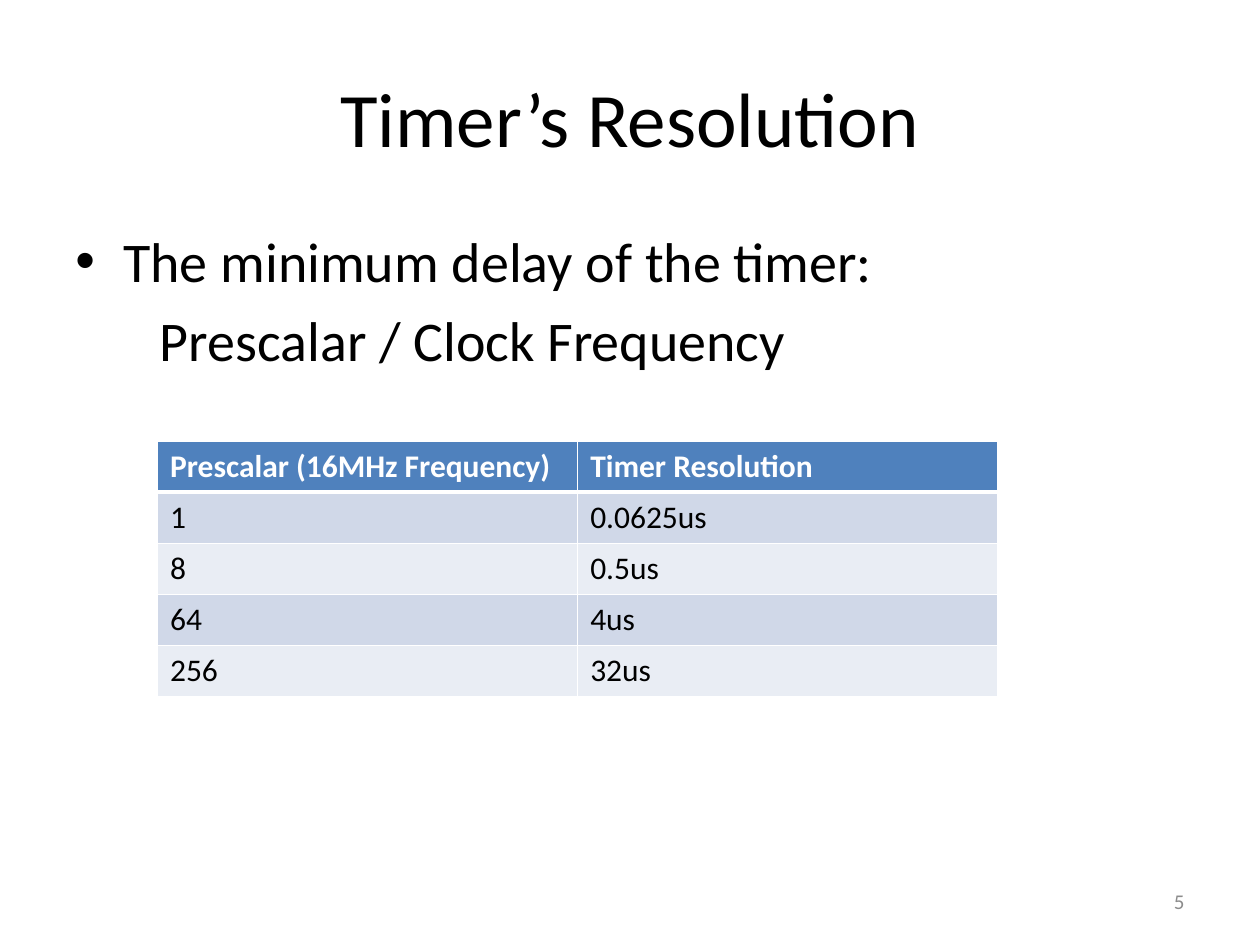
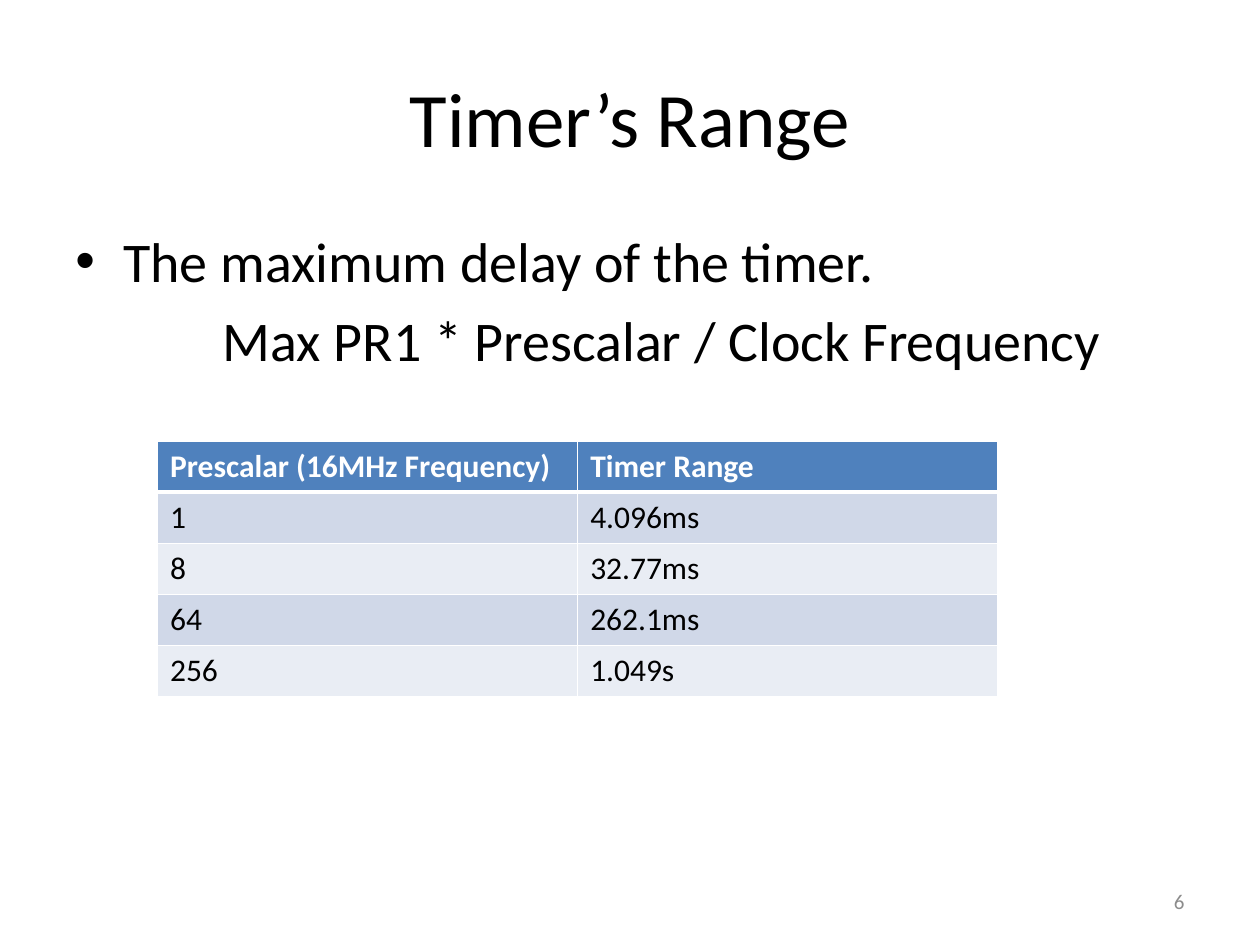
from dataclasses import dataclass

from lxml.etree import SubElement
from pptx import Presentation
from pptx.dml.color import RGBColor
from pptx.enum.text import MSO_ANCHOR, PP_ALIGN
from pptx.oxml.ns import qn
from pptx.util import Inches, Pt


@dataclass(frozen=True)
class Theme:
    """Colours and type sizes shared by the slides."""
    font: str = "Calibri"
    text: str = "000000"
    light: str = "FFFFFF"
    muted: str = "8C8C8C"
    header: str = "4F81BD"
    bands: tuple = ("D0D8E8", "E9EDF4")
    title_size: float = 44
    body_size: float = 32
    table_size: float = 18
    number_size: float = 12


THEME = Theme()
TITLE_ONLY = 5
PRESCALARS = ("1", "8", "64", "256")


def style(paragraph, size, color=THEME.text, bold=False, align=PP_ALIGN.LEFT):
    """Set the font and alignment of a paragraph."""
    paragraph.alignment = align
    font = paragraph.font
    font.name, font.size, font.bold = THEME.font, Pt(size), bold
    font.color.rgb = RGBColor.from_string(color)


def place(shape, left, top, width, height):
    """Move and size a shape, in inches."""
    shape.left, shape.top = Inches(left), Inches(top)
    shape.width, shape.height = Inches(width), Inches(height)


def add_text_box(slide, left, top, width, height):
    """Add a wrapping text box and return its text frame."""
    box = slide.shapes.add_textbox(
        Inches(left), Inches(top), Inches(width), Inches(height))
    box.text_frame.word_wrap = True
    return box.text_frame


def indent(paragraph, left, first_line=0, bullet=None):
    """Set the indents of a paragraph and, if given, its bullet."""
    properties = paragraph._p.get_or_add_pPr()
    properties.set("marL", str(Inches(left)))
    properties.set("indent", str(Inches(first_line)))
    if bullet:
        font = SubElement(properties, qn("a:buFont"))
        font.set("typeface", "Arial")
        SubElement(properties, qn("a:buChar")).set("char", bullet)


def set_title(slide, text):
    """Fill and format the title placeholder."""
    title = slide.shapes.title
    place(title, 0.5, 0.3, 9, 1.25)
    title.text_frame.text = text
    title.text_frame.vertical_anchor = MSO_ANCHOR.MIDDLE
    style(title.text_frame.paragraphs[0], THEME.title_size, align=PP_ALIGN.CENTER)


def add_definition(slide, statement, formula, formula_indent):
    """Add a bulleted statement with its formula indented below."""
    frame = add_text_box(slide, 0.5, 1.75, 9, 4.95)
    frame.text = f"{statement}\n{formula}"
    first, second = frame.paragraphs
    indent(first, 0.38, -0.38, "•")
    indent(second, formula_indent)
    for paragraph in frame.paragraphs:
        paragraph.space_before = Pt(0.2 * THEME.body_size)
        style(paragraph, THEME.body_size)


def set_borders(cell, bottom_width):
    """Draw the light cell borders; the bottom one has its own width."""
    properties = cell._tc.get_or_add_tcPr()
    widths = (("a:lnL", 1), ("a:lnR", 1), ("a:lnT", 1), ("a:lnB", bottom_width))
    for position, (tag, width) in enumerate(widths):
        line = SubElement(properties, qn(tag), w=str(Pt(width)))
        fill = SubElement(line, qn("a:solidFill"))
        SubElement(fill, qn("a:srgbClr"), val=THEME.light)
        properties.insert(position, line)


def add_timer_table(slide, heading, values):
    """Add the table of one timer value for each prescalar."""
    rows = [("Prescalar (16MHz Frequency)", heading), *zip(PRESCALARS, values)]
    table = slide.shapes.add_table(
        len(rows), 2, Inches(1.25), Inches(3.5), Inches(6.67), Inches(2.03)).table
    for row_index, row in enumerate(rows):
        is_header = row_index == 0
        fill = THEME.header if is_header else THEME.bands[(row_index - 1) % 2]
        for column_index, text in enumerate(row):
            cell = table.cell(row_index, column_index)
            cell.text = text
            cell.fill.solid()
            cell.fill.fore_color.rgb = RGBColor.from_string(fill)
            style(cell.text_frame.paragraphs[0], THEME.table_size,
                  THEME.light if is_header else THEME.text, is_header)
            set_borders(cell, 3 if is_header else 1)
            if row_index == 1:
                cell._tc.tcPr.find(qn("a:lnT")).set("w", str(Pt(3)))


def add_slide_number(slide, number):
    """Add the slide number at the lower right."""
    frame = add_text_box(slide, 7.17, 6.95, 2.33, 0.4)
    frame.text = str(number)
    frame.vertical_anchor = MSO_ANCHOR.MIDDLE
    style(frame.paragraphs[0], THEME.number_size, THEME.muted, align=PP_ALIGN.RIGHT)


def add_timer_slide(presentation, number, title, definition, heading, values):
    """Add a slide that defines one timer property and lists its values."""
    slide = presentation.slides.add_slide(presentation.slide_layouts[TITLE_ONLY])
    set_title(slide, title)
    add_definition(slide, *definition)
    add_slide_number(slide, number)
    add_timer_table(slide, heading, values)


def main():
    """Build and save the presentation."""
    presentation = Presentation()
    presentation.slide_width, presentation.slide_height = Inches(10), Inches(7.5)
    add_timer_slide(
        presentation, 5, "Timer’s Resolution",
        ("The minimum delay of the timer:", "Prescalar / Clock Frequency", 0.67),
        "Timer Resolution", ("0.0625us", "0.5us", "4us", "32us"))
    add_timer_slide(
        presentation, 6, "Timer’s Range",
        ("The maximum delay of the timer.",
         "Max PR1 * Prescalar / Clock Frequency", 1.17),
        "Timer Range", ("4.096ms", "32.77ms", "262.1ms", "1.049s"))
    presentation.save("out.pptx")


main()
